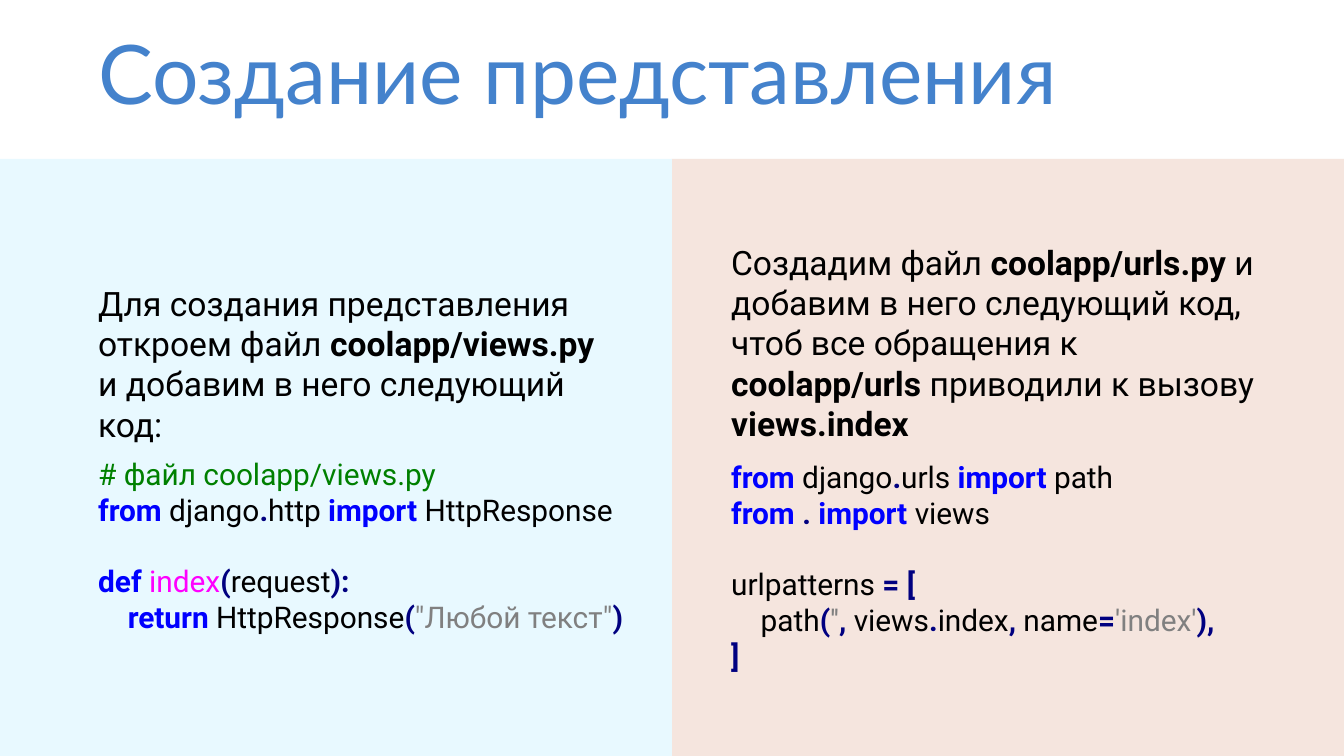
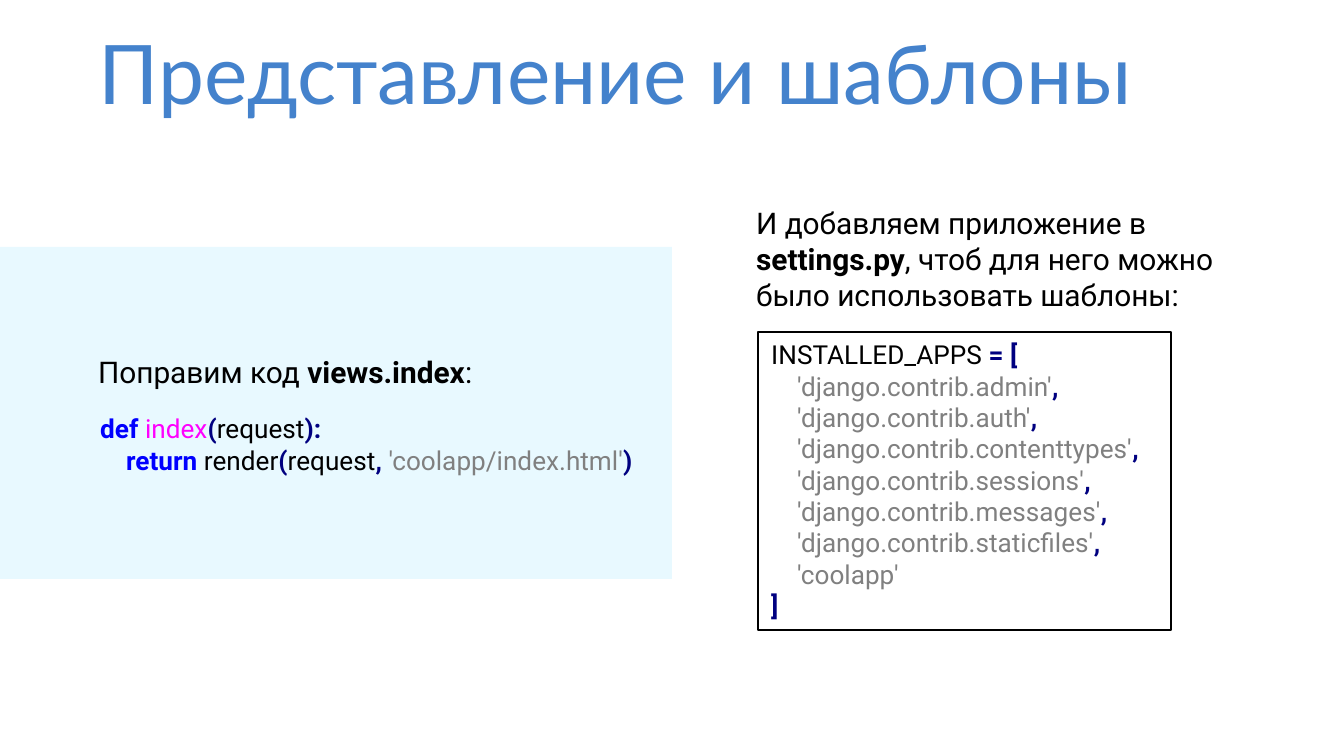
"""Builds two slides about views and templates in a web project."""
import pptx
import pptx.dml.color
import pptx.enum.shapes
import pptx.enum.text
import pptx.util

PX = 914400 / 134.4
SLIDE_W, SLIDE_H = 1344, 756
HALF = SLIDE_W // 2
TITLE_AT = (85, 16, 1228, 113)
COLORS = {
    "title": "4482CC", "sky": "E8F9FF", "peach": "F5E5DE", "plain": "000000",
    "bold": "000000", "keyword": "0000FF", "operator": "000080",
    "function": "FF00FF", "string": "808080", "comment": "008000",
}
BOLD = {"bold", "keyword", "operator"}

P, B, K, O, F, S, C = ("plain", "bold", "keyword", "operator", "function", "string", "comment")
BLANK_LINE = []
INDEX_HEADER = [(K, "def "), (F, "index"), (O, "("), (P, "request"), (O, "):")]
APPS = ["admin", "auth", "contenttypes", "sessions", "messages", "staticfiles"]

SLIDES = [
    {
        "title": "Создание представления",
        "bands": [("peach", (HALF, 159, HALF, 597)), ("sky", (0, 159, HALF, 597))],
        "texts": [
            {"at": (85, 276, 558, 136), "size": 18, "lines": [
                [(P, "Для создания представления откроем файл "), (B, "coolapp/views.py")],
                [(P, "и добавим в него следующий код:")],
            ]},
            {"at": (85, 449, 633, 195), "size": 16, "lines": [
                [(C, "# файл coolapp/views.py")],
                [(K, "from"), (P, " django"), (O, "."), (P, "http "), (K, "import"),
                 (P, " HttpResponse")],
                BLANK_LINE,
                INDEX_HEADER,
                [(P, "    "), (K, "return"), (P, " HttpResponse"), (O, "("),
                 (S, '"Любой текст"'), (O, ")")],
            ]},
            {"at": (718, 235, 570, 176), "size": 18, "lines": [
                [(P, "Создадим файл "), (B, "coolapp/urls.py "),
                 (P, "и добавим в него следующий код, чтоб все обращения к "),
                 (B, "coolapp/urls "), (P, "приводили к вызову "), (B, "views.index")],
            ]},
            {"at": (718, 452, 569, 231), "size": 16, "lines": [
                [(K, "from"), (P, " django"), (O, "."), (P, "urls "), (K, "import"), (P, " path")],
                [(K, "from "), (O, ". "), (K, "import"), (P, " views")],
                BLANK_LINE,
                [(P, "urlpatterns "), (O, "= [")],
                [(P, "    path"), (O, "("), (S, "''"), (O, ","), (P, " views"), (O, "."),
                 (P, "index"), (O, ","), (P, " name"), (O, "="), (S, "'index'"), (O, "),")],
                [(O, "]")],
            ]},
        ],
    },
    {
        "title": "Представление и шаблоны",
        "bands": [("sky", (0, 247, HALF, 332))],
        "texts": [
            {"at": (743, 198, 550, 122), "size": 16, "lines": [
                [(P, "И добавляем приложение в "), (B, "settings.py"),
                 (P, ", чтоб для него можно было использовать шаблоны:")],
            ]},
            {"at": (758, 332, 413, 298), "size": 14, "framed": True, "lines": [
                [(P, "INSTALLED_APPS "), (O, "= [")],
                *[[(P, "    "), (S, f"'django.contrib.{app}'"), (O, ",")] for app in APPS],
                [(S, "    'coolapp'")],
                [(O, "]")],
            ]},
            {"at": (85, 347, 421, 50), "size": 16, "lines": [
                [(P, "Поправим код "), (B, "views.index"), (P, ":")],
            ]},
            {"at": (87, 406, 585, 77), "size": 14, "lines": [
                INDEX_HEADER,
                [(P, "    "), (K, "return"), (P, " render"), (O, "("), (P, "request"),
                 (O, ", "), (S, "'coolapp/index.html'"), (O, ")")],
            ]},
        ],
    },
]


def emu(lengths):
    return [pptx.util.Emu(round(length * PX)) for length in lengths]


def rgb(name):
    return pptx.dml.color.RGBColor.from_string(COLORS[name])


def add_rectangle(slide, at, fill=None):
    rectangle = slide.shapes.add_shape(pptx.enum.shapes.MSO_SHAPE.RECTANGLE, *emu(at))
    rectangle.shadow.inherit = False
    if fill:
        rectangle.fill.solid()
        rectangle.fill.fore_color.rgb = rgb(fill)
        rectangle.line.fill.background()
    else:
        rectangle.fill.background()
        rectangle.line.color.rgb = rgb("plain")
        rectangle.line.width = pptx.util.Pt(0.75)
    return rectangle


def add_text(slide, at, size, lines, font="Roboto", framed=False):
    holder = add_rectangle(slide, at) if framed else slide.shapes.add_textbox(*emu(at))
    frame = holder.text_frame
    frame.word_wrap = True
    frame.auto_size = pptx.enum.text.MSO_AUTO_SIZE.SHAPE_TO_FIT_TEXT
    frame.vertical_anchor = pptx.enum.text.MSO_ANCHOR.TOP
    after_blank = False
    for number, line in enumerate(lines):
        if not line:
            after_blank = True
            continue
        paragraph = frame.add_paragraph() if number else frame.paragraphs[0]
        paragraph.alignment = pptx.enum.text.PP_ALIGN.LEFT
        if after_blank:
            paragraph.space_before = pptx.util.Pt(round(size * 1.2))
            after_blank = False
        for style, words in line:
            run = paragraph.add_run()
            run.text = words
            run.font.name = font
            run.font.size = pptx.util.Pt(size)
            run.font.bold = style in BOLD
            run.font.color.rgb = rgb(style)


def main():
    deck = pptx.Presentation()
    deck.slide_width, deck.slide_height = emu((SLIDE_W, SLIDE_H))
    for content in SLIDES:
        slide = deck.slides.add_slide(deck.slide_layouts[6])
        add_text(slide, TITLE_AT, 44, [[("title", content["title"])]], font="Lato")
        for color, at in content["bands"]:
            add_rectangle(slide, at, color)
        for text in content["texts"]:
            add_text(slide, **text)
    deck.save("out.pptx")


if __name__ == "__main__":
    main()
